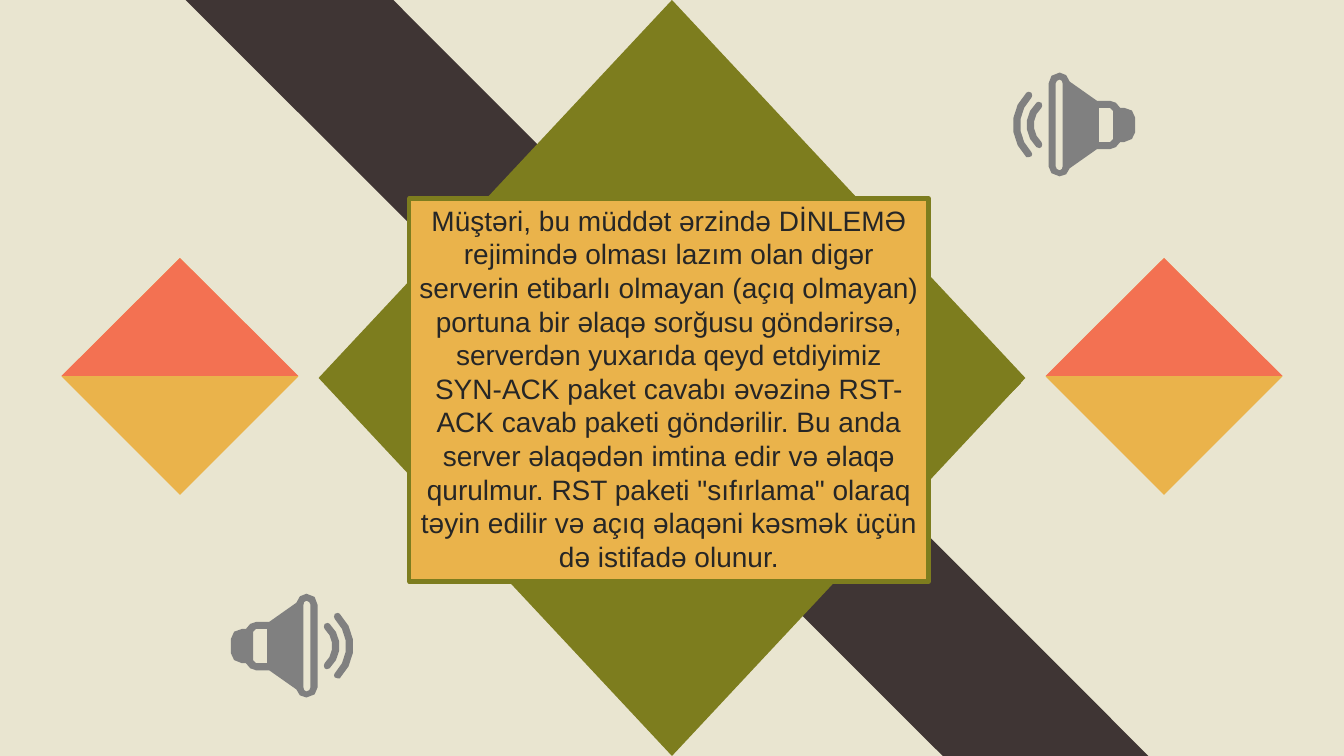
from dataclasses import dataclass
from math import dist

from pptx import Presentation
from pptx.dml.color import RGBColor
from pptx.enum.shapes import MSO_SHAPE as Shp
from pptx.enum.text import MSO_ANCHOR as Anchor, PP_ALIGN as Align
from pptx.util import Inches, Pt

CELL = Inches(0.01)
COLS, ROWS = 1333, 750
ICON_COLS = 126

CREAM = RGBColor(0xE9, 0xE5, 0xD0)
BROWN = RGBColor(0x3F, 0x35, 0x34)
OLIVE = RGBColor(0x7D, 0x7D, 0x1E)
AMBER = RGBColor(0xEA, 0xB3, 0x4B)
CORAL = RGBColor(0xF3, 0x71, 0x52)
GREY = RGBColor(0x80, 0x80, 0x80)
INK = RGBColor(0x26, 0x26, 0x26)

MESSAGE = (
    "Müştəri, bu müddət ərzində DİNLEMƏ rejimində olması lazım olan digər "
    "serverin etibarlı olmayan (açıq olmayan) portuna bir əlaqə sorğusu "
    "göndərirsə, serverdən yuxarıda qeyd etdiyimiz SYN-ACK paket cavabı əvəzinə "
    "RST-ACK cavab paketi göndərilir. Bu anda server əlaqədən imtina edir və "
    "əlaqə qurulmur. RST paketi \"sıfırlama\" olaraq təyin edilir və açıq "
    "əlaqəni kəsmək üçün də istifadə olunur."
)

Point = tuple[float, float]
Outline = list[tuple[float, ...]]


@dataclass(frozen=True)
class Block:
    kind: Shp
    col: float
    row: float
    cols: float
    rows: float
    fill: RGBColor
    turn: float = 0


@dataclass(frozen=True)
class Speaker:
    col: float
    row: float
    mirrored: bool = False


BAND: Outline = [(184, 0), (935, ROWS), (1139, ROWS), (390, 0)]

OUTER_WAVE: Outline = [
    (106, 19), (103, 20), (102, 22, 102, 24, 103, 25),
    (118, 40, 118, 64, 103, 79), (102, 80, 102, 82, 103, 83),
    (106, 84), (108, 84), (126, 66, 126, 38, 108, 20),
]
INNER_WAVE: Outline = [
    (96, 29), (93, 30), (92, 32, 92, 34, 93, 35),
    (103, 44, 103, 60, 93, 69), (92, 70, 92, 73, 93, 74),
    (95, 75), (98, 74), (111, 62, 111, 42, 98, 30),
]
MAGNET_HOLE: Outline = [
    (36, 35), (36, 69), (25, 69), (22, 66), (22, 38), (25, 35),
]
RIM_HOLE: Outline = [
    (75, 7), (77, 7, 79, 9, 79, 11), (79, 93), (79, 95, 77, 97, 75, 97),
    (73, 97, 72, 95, 72, 93), (72, 11), (72, 9, 73, 7, 75, 7),
]
HORN: Outline = [
    (75, 0), (70, 0, 66, 4, 65, 9), (38, 28), (25, 28),
    (21, 28, 17, 31, 15, 35), (11, 35), (5, 35, 0, 39, 0, 45),
    (0, 59), (0, 64, 5, 69, 11, 69), (15, 69), (17, 73, 21, 76, 25, 76),
    (38, 76), (65, 95), (66, 100, 70, 103, 75, 103),
    (82, 103, 86, 98, 86, 93), (86, 11), (86, 5, 82, 0, 75, 0),
]
SPEAKER_PARTS = [[OUTER_WAVE], [INNER_WAVE], [MAGNET_HOLE, RIM_HOLE, HORN]]
SPEAKERS = [Speaker(229, 589), Speaker(1000, 72, mirrored=True)]

SIDE_SIZE = 235
BLOCKS = [Block(Shp.DIAMOND, 316, 0, 701, ROWS, OLIVE)]
for side_col in (1037, 61):
    BLOCKS += [
        Block(Shp.DIAMOND, side_col, 256, SIDE_SIZE, SIDE_SIZE, AMBER),
        Block(Shp.ISOSCELES_TRIANGLE, side_col, 256, SIDE_SIZE, SIDE_SIZE // 2, CORAL),
    ]
BLOCKS.append(Block(Shp.RECTANGLE, 425, 135, 490, 479, OLIVE, 45.3))
PANEL = Block(Shp.RECTANGLE, 406, 197, 515, 380, AMBER)


def cells(n: float) -> int:
    return round(n * CELL)


def paint(sp, fill: RGBColor) -> None:
    sp.shadow.inherit = False
    sp.fill.solid()
    sp.fill.fore_color.rgb = fill
    sp.line.fill.background()


def add_block(s, block: Block):
    box = (block.col, block.row, block.cols, block.rows)
    sp = s.shapes.add_shape(block.kind, *map(cells, box))
    sp.rotation = block.turn
    paint(sp, block.fill)
    return sp


def flatten(outline: Outline) -> list[Point]:
    points: list[Point] = [outline[0]]
    for step in outline[1:]:
        if len(step) == 2:
            points.append(step)
            continue
        controls = (points[-1], step[:2], step[2:4], step[4:])
        pieces = 5 if dist(controls[0], controls[3]) > 20 else 2
        for i in range(1, pieces + 1):
            t = i / pieces
            weights = ((1 - t) ** 3, 3 * t * (1 - t) ** 2, 3 * t * t * (1 - t), t ** 3)
            x, y = (sum(w * c[k] for w, c in zip(weights, controls)) for k in (0, 1))
            points.append((x, y))
    return points


def add_outlines(s, outlines: list[list[Point]], fill: RGBColor) -> None:
    contours = [[(cells(x), cells(y)) for x, y in points] for points in outlines]
    builder = s.shapes.build_freeform(*contours[0][0])
    for i, contour in enumerate(contours):
        if i:
            builder.move_to(*contour[0])
        builder.add_line_segments(contour[1:], close=True)
    paint(builder.convert_to_shape(), fill)


def add_speaker(s, speaker: Speaker) -> None:
    def place(point: Point) -> Point:
        x, y = point
        return speaker.col + (ICON_COLS - x if speaker.mirrored else x), speaker.row + y

    for part in SPEAKER_PARTS:
        add_outlines(s, [[place(pt) for pt in flatten(o)] for o in part], GREY)


def add_message(s) -> None:
    sp = add_block(s, PANEL)
    sp.line.color.rgb = OLIVE
    sp.line.width = Pt(3)
    tf = sp.text_frame
    tf.word_wrap = True
    tf.vertical_anchor = Anchor.MIDDLE
    tf.margin_top, tf.margin_bottom = cells(3), cells(7)
    tf.text = MESSAGE
    p = tf.paragraphs[0]
    p.alignment = Align.CENTER
    p.line_spacing = Pt(24)
    font = p.runs[0].font
    font.name = "Arial"
    font.size = Pt(20)
    font.color.rgb = INK


def main() -> None:
    prs = Presentation()
    prs.slide_width, prs.slide_height = cells(COLS), cells(ROWS)
    s = prs.slides.add_slide(prs.slide_layouts[6])
    s.background.fill.solid()
    s.background.fill.fore_color.rgb = CREAM
    add_outlines(s, [flatten(BAND)], BROWN)
    for block in BLOCKS:
        add_block(s, block)
    add_message(s)
    for speaker in SPEAKERS:
        add_speaker(s, speaker)
    prs.save("out.pptx")


if __name__ == "__main__":
    main()
